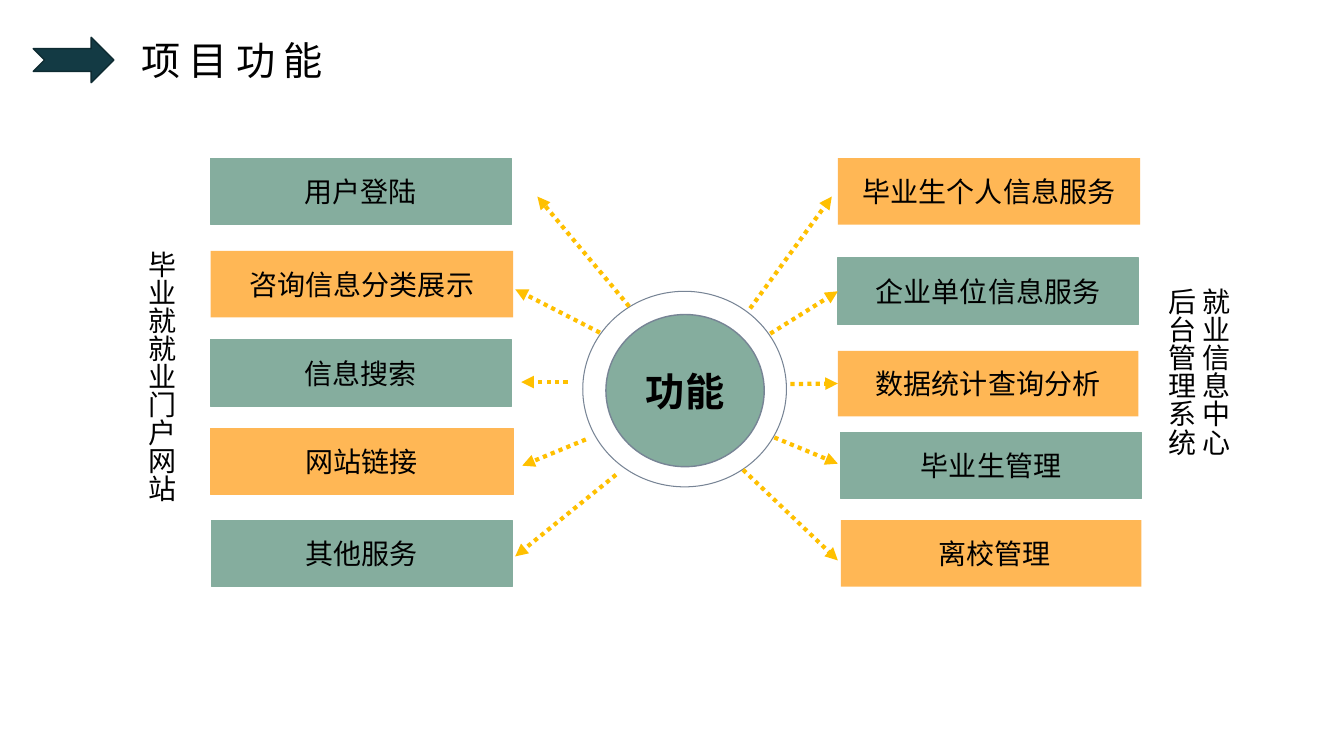
from lxml.etree import SubElement
from pptx import Presentation
from pptx.dml.color import RGBColor
from pptx.enum.dml import MSO_LINE
from pptx.enum.shapes import MSO_CONNECTOR, MSO_SHAPE
from pptx.enum.text import MSO_ANCHOR, MSO_AUTO_SIZE, PP_ALIGN
from pptx.oxml.ns import qn
from pptx.util import Pt

PX = 9144  # 100 px to the inch
SANS = "Noto Sans CJK SC"
GREEN, ORANGE, GOLD, GRAY = "85AD9E", "FFB755", "FFC000", "778495"
LABEL = {"size": Pt(20), "name": SANS}
HUB = {"size": Pt(28), "name": SANS, "bold": True}
HEAD = {"size": Pt(28), "name": "Arial", "bold": False}
INSET = dict.fromkeys(
    ["margin_left", "margin_top", "margin_right", "margin_bottom"], 0)

# text, box, fill, line, arrow start, arrow end (None: joined to the box)
LEFT = [
    ("用户登陆", (209, 157, 298, 66), GREEN, GREEN, (624, 304), (533, 195)),
    ("咨询信息分类展示", (209, 249, 300, 66), ORANGE, None, (595, 330), (511, 287)),
    ("信息搜索", (209, 337, 298, 66), GREEN, GREEN, (563, 379), (517, 379)),
    ("网站链接", (209, 425, 300, 66), ORANGE, ORANGE, (581, 436), (518, 462)),
    ("其他服务", (210, 516, 298, 66), GREEN, GREEN, (611, 471), (511, 552)),
]
RIGHT = [
    ("毕业生个人信息服务", (831, 157, 300, 66), ORANGE, None, (744, 306), (825, 195)),
    ("企业单位信息服务", (831, 256, 298, 66), GREEN, GREEN, (764, 331), None),
    ("数据统计查询分析", (831, 348, 298, 65), ORANGE, None, (784, 381), None),
    ("毕业生管理", (834, 429, 298, 66), GREEN, GREEN, (768, 434), (831, 460)),
    (" 离校管理", (834, 516, 298, 66), ORANGE, None, (737, 466), (831, 556)),
]


def emu(vals):
    return [v * PX for v in vals]


def tint(code):
    return RGBColor.from_string(code)


def put(item, vals):
    """Set each attribute of item that vals names."""
    for key, val in vals.items():
        setattr(item, key, val)


def write(frame, lines, font, align=PP_ALIGN.LEFT):
    for num, line in enumerate(lines):
        para = frame.add_paragraph() if num else frame.paragraphs[0]
        para.alignment = align
        run = para.add_run()
        run.text = line
        put(run.font, font)
        run.font.color.rgb = tint("000000")
        SubElement(run.font._element, qn("a:ea"), typeface=SANS)


def draw(slide, kind, box, fill=None, line=None, width=0.75):
    shape = slide.shapes.add_shape(kind, *emu(box))
    shape.shadow.inherit = False
    if fill:
        shape.fill.solid()
        shape.fill.fore_color.rgb = tint(fill)
    else:
        shape.fill.background()
    if line:
        shape.line.color.rgb = tint(line)
        shape.line.width = Pt(width)
    else:
        shape.line.fill.background()
    return shape


def label(shape, text, font):
    frame = shape.text_frame
    put(frame, {**INSET, "vertical_anchor": MSO_ANCHOR.MIDDLE, "word_wrap": True})
    write(frame, [text], font, PP_ALIGN.CENTER)


def arrow(slide, start, end, card):
    """Draw a dotted arrow to end, or to the left side of card."""
    link = slide.shapes.add_connector(
        MSO_CONNECTOR.STRAIGHT, *emu(start + (end or start)))
    if end is None:
        link.end_connect(card, 1)
    link.line.color.rgb = tint(GOLD)
    put(link.line, {"width": Pt(3), "dash_style": MSO_LINE.ROUND_DOT})
    SubElement(link.line._get_or_add_ln(), qn("a:tailEnd"), type="triangle")
    SubElement(link._element.spPr, qn("a:effectLst"))


def column(slide, box, lines):
    """Write lines from top to bottom, ordered from right to left."""
    frame = slide.shapes.add_textbox(*emu(box)).text_frame
    put(frame, {"word_wrap": True, "auto_size": MSO_AUTO_SIZE.SHAPE_TO_FIT_TEXT})
    frame._txBody.bodyPr.set("vert", "eaVert")
    write(frame, lines, LABEL)


def heading(slide, text):
    title = slide.shapes.title
    put(title, dict(zip(["left", "top", "width", "height"],
                        emu((130, 31, 397, 57)))))
    frame = title.text_frame
    put(frame, {"vertical_anchor": MSO_ANCHOR.TOP, "word_wrap": True,
                "auto_size": MSO_AUTO_SIZE.SHAPE_TO_FIT_TEXT})
    write(frame, [text], HEAD)
    frame.paragraphs[0].runs[0].font._element.set("spc", "600")


def main():
    deck = Presentation()
    put(deck, {"slide_width": 1333 * PX, "slide_height": 750 * PX})
    slide = deck.slides.add_slide(deck.slide_layouts[5])
    heading(slide, "项目功能")
    draw(slide, MSO_SHAPE.NOTCHED_RIGHT_ARROW, (33, 37, 80, 45),
         "133A44", "0E2B32", 1)
    draw(slide, MSO_SHAPE.OVAL, (578, 289, 202, 194), None, GRAY)
    hub = draw(slide, MSO_SHAPE.OVAL, (601, 312, 157, 151), GREEN, GRAY, 1)
    label(hub, "功能", HUB)
    for text, box, fill, line, start, end in LEFT + RIGHT:
        card = draw(slide, MSO_SHAPE.RECTANGLE, box, fill, line)
        label(card, text, LABEL)
        arrow(slide, start, end, card)
    column(slide, (1139, 276, 88, 321), ["就业信息中心", "后台管理系统"])
    column(slide, (128, 239, 54, 376), ["毕业就就业门户网站"])
    deck.save("out.pptx")


if __name__ == "__main__":
    main()
